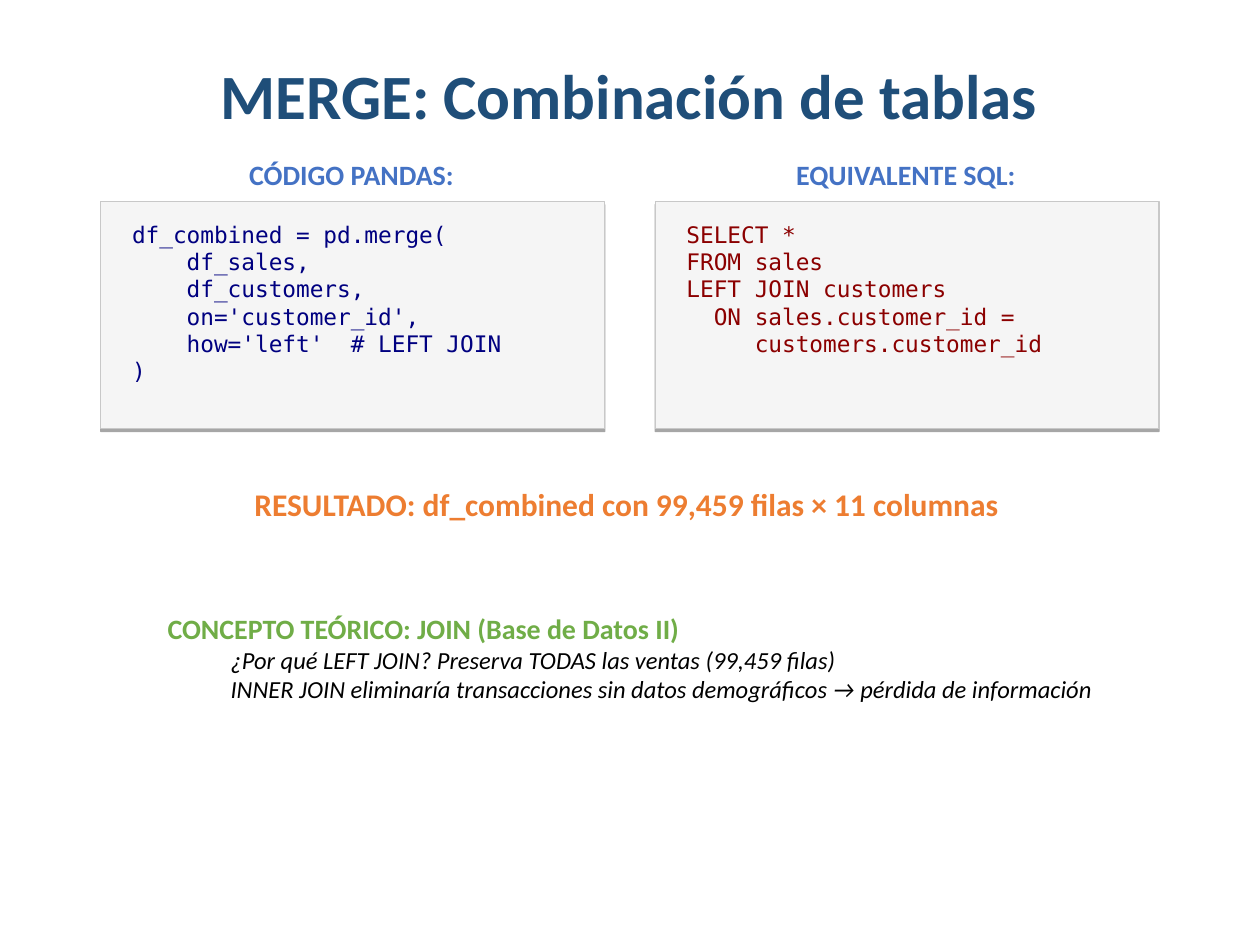
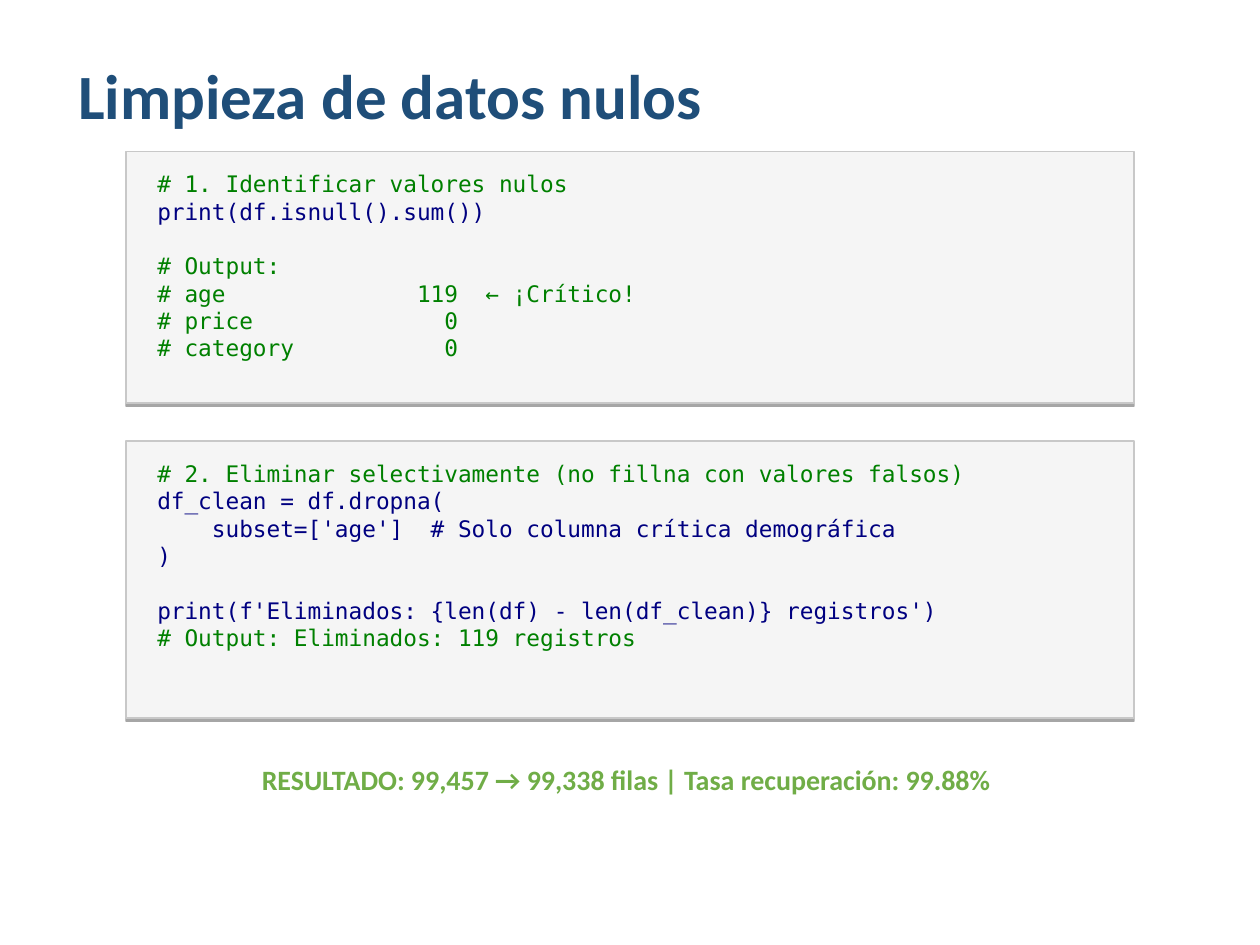
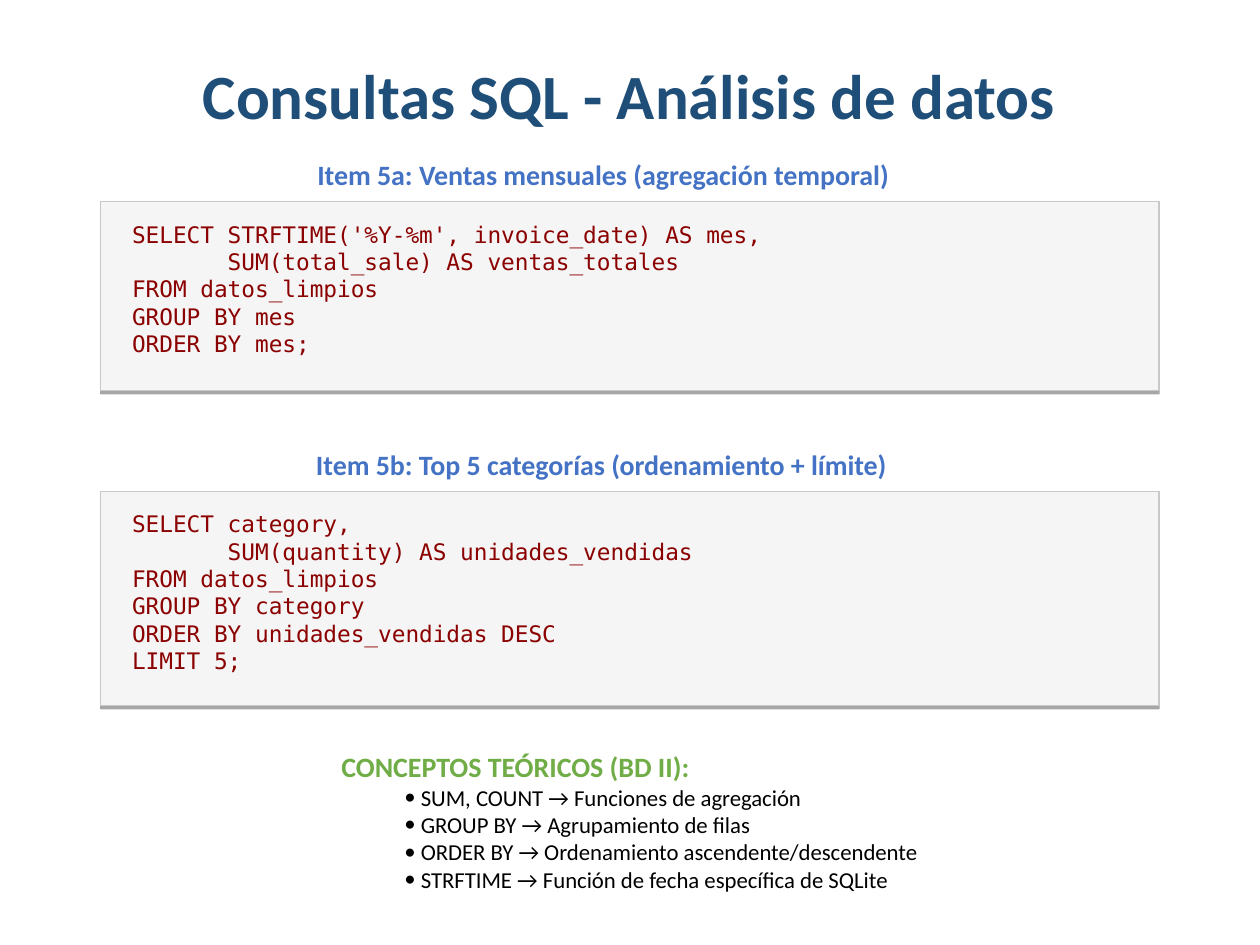
"""Build three slides that pair pandas and SQL code with their results."""
from lxml import etree
from pptx import Presentation
from pptx.dml.color import RGBColor
from pptx.enum import shapes, text
from pptx.oxml import ns
from pptx.util import Emu, Pt

PX = 9144
WIDTH, HEIGHT = 1000, 750
TITLE_AND_BODY, TITLE_ONLY = 1, 5
CODE_GAP = 15.6
CODE_INSET = (15, 10)

COLORS = {
    "navy": "1F4E79", "blue": "4472C4", "orange": "ED7D31", "green": "70AD47",
    "black": "000000", "pandas": "000080", "sql": "8B0000", "comment": "008000",
    "panel": "F5F5F5", "border": "C8C8C8",
}

STYLES = {
    "title": {"name": "Calibri", "size": 36, "bold": True, "color": "navy"},
    "heading": {"name": "Calibri", "size": 16, "bold": True, "color": "blue"},
    "result": {"name": "Calibri", "size": 18, "bold": True, "color": "orange"},
    "concept": {"name": "Calibri", "size": 16, "bold": True, "color": "green"},
    "remark": {"name": "Calibri", "size": 14, "italic": True, "color": "black"},
    "point": {"name": "Calibri", "size": 13, "color": "black"},
    "pandas": {"name": "DejaVu Sans Mono", "size": 13, "color": "pandas"},
    "sql": {"name": "DejaVu Sans Mono", "size": 13, "color": "sql"},
    "comment": {"name": "DejaVu Sans Mono", "size": 13, "color": "comment"},
}

MERGE_PANDAS = """df_combined = pd.merge(
    df_sales,
    df_customers,
    on='customer_id',
    how='left'  # LEFT JOIN
)"""

MERGE_SQL = """SELECT *
FROM sales
LEFT JOIN customers
  ON sales.customer_id =
     customers.customer_id"""

FIND_NULLS = """# 1. Identificar valores nulos
print(df.isnull().sum())

# Output:
# age              119  ← ¡Crítico!
# price              0
# category           0"""

DROP_NULLS = """# 2. Eliminar selectivamente (no fillna con valores falsos)
df_clean = df.dropna(
    subset=['age']  # Solo columna crítica demográfica
)

print(f'Eliminados: {len(df) - len(df_clean)} registros')
# Output: Eliminados: 119 registros"""

MONTHLY_SALES = """SELECT STRFTIME('%Y-%m', invoice_date) AS mes,
       SUM(total_sale) AS ventas_totales
FROM datos_limpios
GROUP BY mes
ORDER BY mes;"""

TOP_CATEGORIES = """SELECT category,
       SUM(quantity) AS unidades_vendidas
FROM datos_limpios
GROUP BY category
ORDER BY unidades_vendidas DESC
LIMIT 5;"""

SLIDES = [
    {
        "title": ("MERGE: Combinación de tablas", (165, 40, 669, 70)),
        "labels": [
            ("CÓDIGO PANDAS:", "heading", (188, 120, 184, 37)),
            ("EQUIVALENTE SQL:", "heading", (622, 120, 195, 37)),
            ("RESULTADO: df_combined con 99,459 filas × 11 columnas", "result",
             (192, 380, 615, 40)),
        ],
        "panels": [
            (MERGE_PANDAS, "pandas", (80, 160, 400, 180)),
            (MERGE_SQL, "sql", (520, 160, 400, 180)),
        ],
        "concepts": {
            "box": (123, 480, 755, 84),
            "heading": "CONCEPTO TEÓRICO: JOIN (Base de Datos II)",
            "style": "remark",
            "lines": [
                "¿Por qué LEFT JOIN? Preserva TODAS las ventas (99,459 filas)",
                "INNER JOIN eliminaría transacciones sin datos demográficos → "
                "pérdida de información",
            ],
        },
    },
    {
        "title": ("Limpieza de datos nulos", (52, 40, 517, 70)),
        "labels": [
            ("RESULTADO: 99,457 → 99,338 filas | Tasa recuperación: 99.88%",
             "concept", (198, 600, 604, 37)),
        ],
        "panels": [
            (FIND_NULLS, "pandas", (100, 120, 800, 200)),
            (DROP_NULLS, "pandas", (100, 350, 800, 220)),
        ],
    },
    {
        "title": ("Consultas SQL - Análisis de datos", (151, 40, 698, 70)),
        "labels": [
            ("Item 5a: Ventas mensuales (agregación temporal)", "heading",
             (242, 120, 477, 37)),
            ("Item 5b: Top 5 categorías (ordenamiento + límite)", "heading",
             (241, 350, 477, 37)),
        ],
        "panels": [
            (MONTHLY_SALES, "sql", (80, 160, 840, 150)),
            (TOP_CATEGORIES, "sql", (80, 390, 840, 170)),
        ],
        "concepts": {
            "box": (261, 590, 478, 124),
            "heading": "CONCEPTOS TEÓRICOS (BD II):",
            "style": "point",
            "bullet": "•",
            "lines": [
                "SUM, COUNT → Funciones de agregación",
                "GROUP BY → Agrupamiento de filas",
                "ORDER BY → Ordenamiento ascendente/descendente",
                "STRFTIME → Función de fecha específica de SQLite",
            ],
        },
    },
]


def to_emu(box):
    return [Emu(value * PX) for value in box]


def color(name):
    return RGBColor.from_string(COLORS[name])


def place(shape, box, wrap=False):
    for name, value in zip(("left", "top", "width", "height"), to_emu(box)):
        setattr(shape, name, value)
    frame = shape.text_frame
    settings = {
        "word_wrap": wrap,
        "auto_size": text.MSO_AUTO_SIZE.SHAPE_TO_FIT_TEXT,
        "vertical_anchor": text.MSO_ANCHOR.TOP,
    }
    for name, value in settings.items():
        setattr(frame, name, value)
    return frame


def write_lines(frame, lines):
    """Write (wording, style, space before) lines and return the paragraphs."""
    paragraphs = []
    for index, (wording, style, space) in enumerate(lines):
        paragraph = frame.add_paragraph() if index else frame.paragraphs[0]
        paragraph.alignment = text.PP_ALIGN.LEFT
        paragraph.space_before = Pt(space)
        run = paragraph.add_run()
        run.text = wording
        values = {"bold": False, "italic": False, **STYLES[style]}
        run.font.color.rgb = color(values.pop("color"))
        values["size"] = Pt(values["size"])
        for name, value in values.items():
            setattr(run.font, name, value)
        paragraphs.append(paragraph)
    return paragraphs


def set_bullet(paragraph, margin=0, hanging=0, character=None):
    properties = paragraph._p.get_or_add_pPr()
    properties.set("marL", str((margin + hanging) * PX))
    properties.set("indent", str(-hanging * PX))
    if character:
        font = etree.SubElement(properties, ns.qn("a:buFont"))
        font.set("typeface", "Calibri")
        etree.SubElement(properties, ns.qn("a:buChar")).set("char", character)
    else:
        etree.SubElement(properties, ns.qn("a:buNone"))


def add_shadow(shape):
    shape.shadow.inherit = False
    effects = shape._element.spPr.find(ns.qn("a:effectLst"))
    shadow = etree.SubElement(effects, ns.qn("a:outerShdw"))
    values = {"blurRad": 0, "dist": Pt(1.8), "dir": 5400000, "rotWithShape": 0}
    for name, value in values.items():
        shadow.set(name, str(int(value)))
    tint = etree.SubElement(shadow, ns.qn("a:srgbClr"))
    tint.set("val", COLORS["black"])
    etree.SubElement(tint, ns.qn("a:alpha")).set("val", "35000")


def add_label(slide, wording, style, box):
    label = slide.shapes.add_textbox(*to_emu(box))
    write_lines(place(label, box), [(wording, style, 0)])


def add_code_panel(slide, code, style, box):
    panel = slide.shapes.add_shape(shapes.MSO_SHAPE.RECTANGLE, *to_emu(box))
    panel.fill.solid()
    panel.fill.fore_color.rgb = color("panel")
    panel.line.color.rgb = color("border")
    panel.line.width = Pt(0.75)
    add_shadow(panel)

    left, top, width, _ = box
    across, down = CODE_INSET
    height = 11 + round(21.5 * len(code.split("\n")))
    code_box = (left + across, top + down, width - 2 * across, height)
    lines = []
    for block in code.split("\n\n"):
        for index, line in enumerate(block.split("\n")):
            line_style = "comment" if line.startswith("#") else style
            space = CODE_GAP if lines and index == 0 else 0
            lines.append((line, line_style, space))
    listing = slide.shapes.add_textbox(*to_emu(code_box))
    write_lines(place(listing, code_box, wrap=True), lines)


def fill_concepts(body, concepts):
    lines = [(concepts["heading"], "concept", 0)]
    lines += [(line, concepts["style"], 0) for line in concepts["lines"]]
    heading, *items = write_lines(place(body, concepts["box"]), lines)
    set_bullet(heading)
    bullet = concepts.get("bullet")
    for item in items:
        item.level = 1
        set_bullet(item, 50, 13 if bullet else 0, bullet)


def add_slide(presentation, content):
    concepts = content.get("concepts")
    layout = TITLE_AND_BODY if concepts else TITLE_ONLY
    slide = presentation.slides.add_slide(presentation.slide_layouts[layout])
    wording, box = content["title"]
    write_lines(place(slide.shapes.title, box), [(wording, "title", 0)])
    for panel in content["panels"]:
        add_code_panel(slide, *panel)
    for label in content["labels"]:
        add_label(slide, *label)
    if concepts:
        fill_concepts(slide.placeholders[1], concepts)


def main():
    presentation = Presentation()
    presentation.slide_width, presentation.slide_height = to_emu((WIDTH, HEIGHT))
    for content in SLIDES:
        add_slide(presentation, content)
    presentation.save("out.pptx")


if __name__ == "__main__":
    main()
